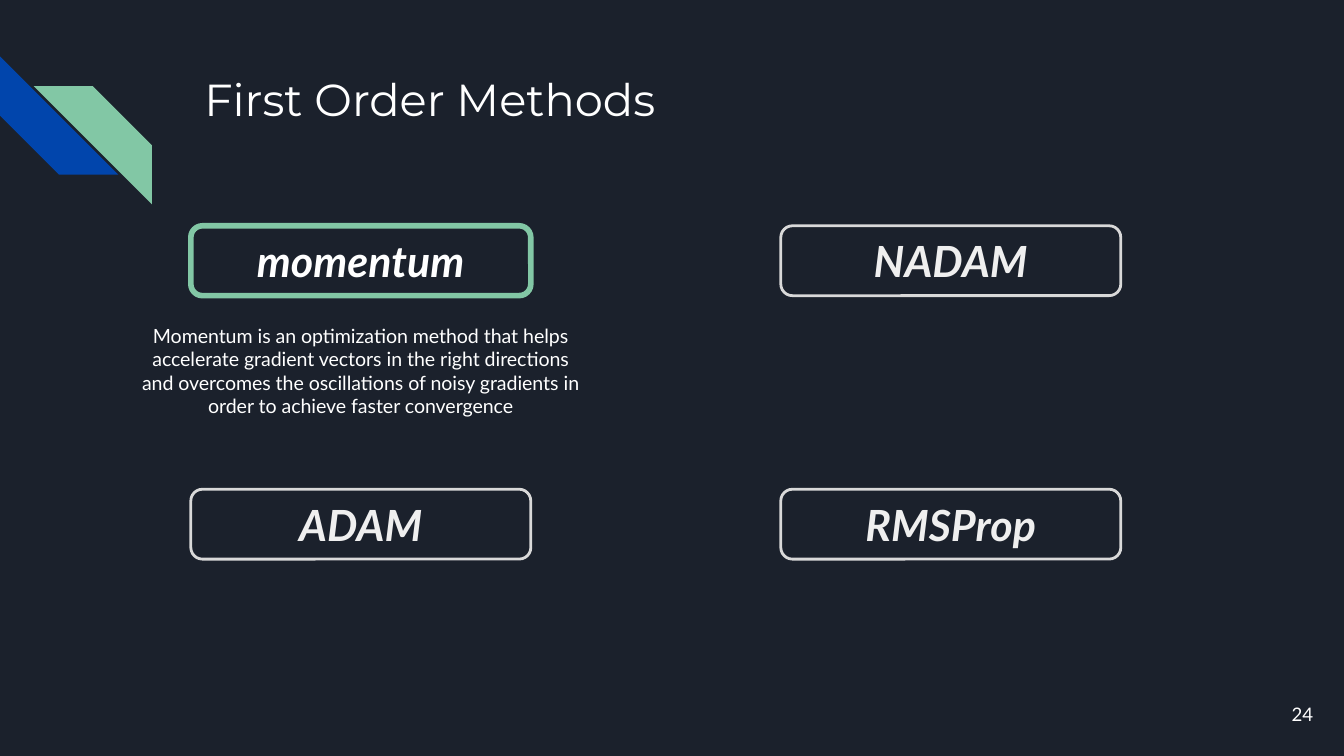
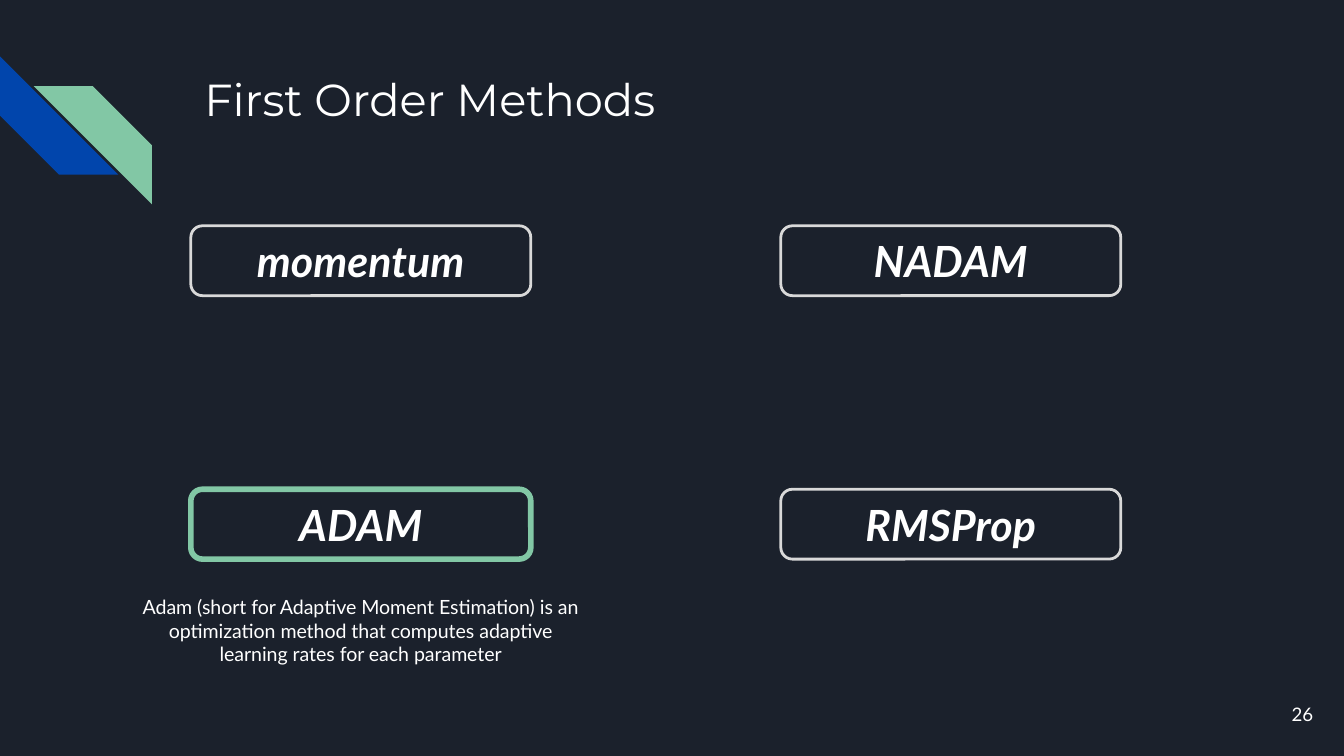
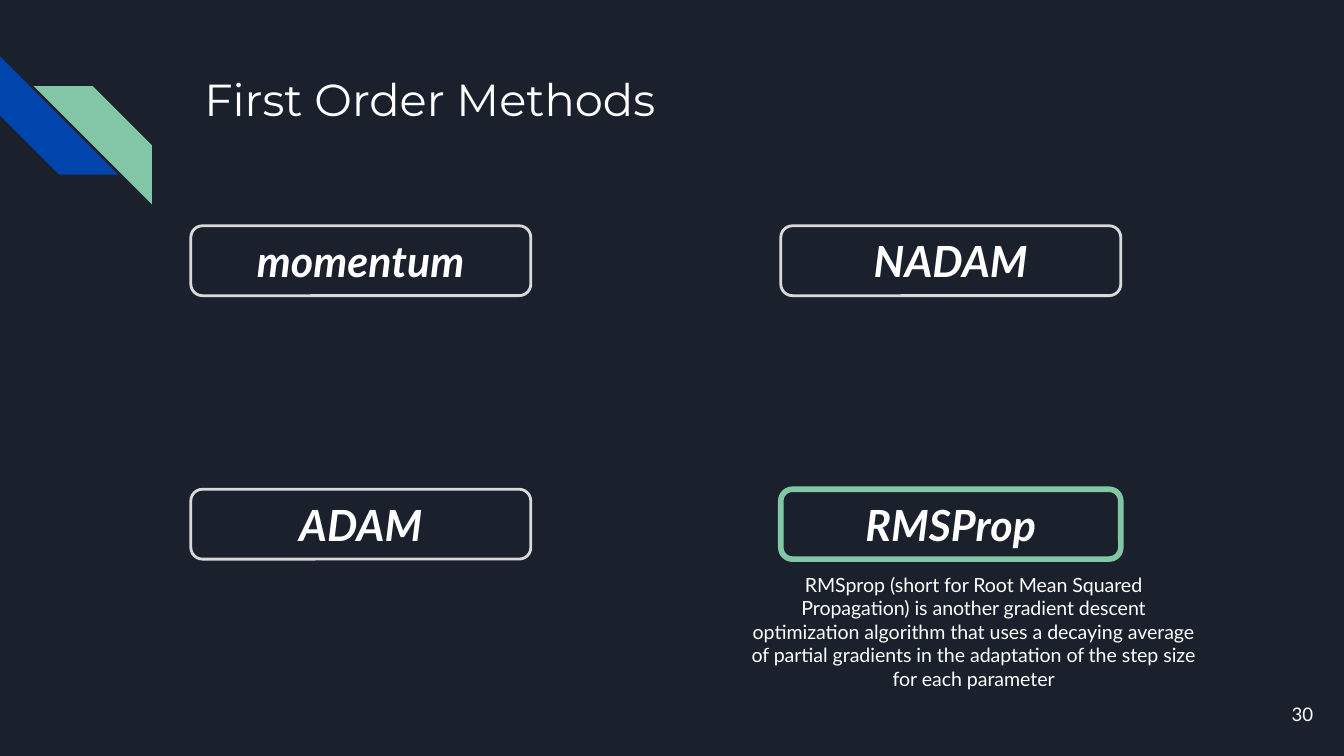
from dataclasses import dataclass

from pptx import Presentation
from pptx.dml.color import RGBColor
from pptx.enum.shapes import MSO_SHAPE
from pptx.enum.text import MSO_ANCHOR, MSO_AUTO_SIZE, PP_ALIGN
from pptx.util import Inches, Pt

LEFT, CENTER, RIGHT = PP_ALIGN.LEFT, PP_ALIGN.CENTER, PP_ALIGN.RIGHT
TOP, MIDDLE = MSO_ANCHOR.TOP, MSO_ANCHOR.MIDDLE
NO_FIT, GROW = MSO_AUTO_SIZE.NONE, MSO_AUTO_SIZE.SHAPE_TO_FIT_TEXT
ROUNDED, STRIPE = MSO_SHAPE.ROUNDED_RECTANGLE, MSO_SHAPE.DIAGONAL_STRIPE
TITLE_ONLY = 5


@dataclass(frozen=True)
class Theme:
    background: str = "1B212C"
    blue: str = "0145AC"
    green: str = "82C7A5"
    border: str = "D9D9D9"
    white: str = "FFFFFF"
    muted: str = "EFEFEF"
    heading_font: str = "Montserrat"
    body_font: str = "Lato"
    title_size: float = 24
    method_size: float = 23
    body_size: float = 10.5
    number_size: float = 10


THEME = Theme()

TITLE = "First Order Methods"
METHODS = [["momentum", "NADAM"], ["ADAM", "RMSProp"]]
SLIDES = [
    {
        "number": 24,
        "active": "momentum",
        "inactive_color": THEME.muted,
        "text": "Momentum is an optimization method that helps accelerate gradient "
                "vectors in the right directions and overcomes the oscillations of "
                "noisy gradients in order to achieve faster convergence",
        "text_at": (0.91, 2.31, 3.55, 0.91),
    },
    {
        "number": 26,
        "active": "ADAM",
        "inactive_color": THEME.white,
        "text": "Adam (short for Adaptive Moment Estimation) is an optimization "
                "method that computes adaptive learning rates for each parameter",
        "text_at": (0.91, 4.33, 3.55, 0.73),
    },
    {
        "number": 30,
        "active": "RMSProp",
        "inactive_color": THEME.white,
        "text": "RMSprop (short for Root Mean Squared Propagation) is another "
                "gradient descent optimization algorithm that uses a decaying average "
                "of partial gradients in the adaptation of the step size for each "
                "parameter",
        "text_at": (5.47, 4.16, 3.55, 1.09),
    },
]

SLIDE_W = Inches(10)
SLIDE_H = SLIDE_W * 9 // 16
TITLE_AT = (1.42, 0.43, 7.7, 1)
NUMBER_AT = (9.27, 5.1, 0.6, 0.43)
STRIPE_SIZE = 0.88
STRIPES = [(0, 0.42, 270, THEME.blue), (0.25, 0.64, 90, THEME.green)]
GRID_LEFT, GRID_TOP = 1.42, 1.68
COLUMN_STEP, ROW_STEP = 4.39, 1.96
METHOD_W, METHOD_H = 2.53, 0.52


def rgb(color):
    return RGBColor.from_string(color)


def inches(box):
    return [Inches(v) for v in box]


def write(sp, text, size, color=THEME.white, name=THEME.body_font, align=CENTER,
          anchor=TOP, fit=NO_FIT, **font_style):
    tf = sp.text_frame
    frame = {"word_wrap": True, "auto_size": fit, "vertical_anchor": anchor}
    frame.update({f"margin_{side}": Inches(0.1)
                  for side in ("left", "top", "right", "bottom")})
    for key, value in frame.items():
        setattr(tf, key, value)
    p = tf.paragraphs[0]
    p.alignment = align
    r = p.add_run()
    r.text = text
    for key, value in {"name": name, "size": Pt(size), **font_style}.items():
        setattr(r.font, key, value)
    r.font.color.rgb = rgb(color)


def add_stripes(slide):
    for left, top, rotation, color in STRIPES:
        sp = slide.shapes.add_shape(
            STRIPE, *inches((left, top, STRIPE_SIZE, STRIPE_SIZE)))
        sp.rotation = rotation
        sp.shadow.inherit = False
        sp.fill.solid()
        sp.fill.fore_color.rgb = rgb(color)
        sp.line.fill.background()


def add_title(slide):
    sp = slide.shapes.title
    sp.left, sp.top, sp.width, sp.height = inches(TITLE_AT)
    write(sp, TITLE, THEME.title_size, name=THEME.heading_font, align=LEFT)


def add_text(slide, box, text, size, **style):
    write(slide.shapes.add_textbox(*inches(box)), text, size, **style)


def add_method(slide, row, column, method, active, inactive_color):
    box = (GRID_LEFT + column * COLUMN_STEP, GRID_TOP + row * ROW_STEP,
           METHOD_W, METHOD_H)
    sp = slide.shapes.add_shape(ROUNDED, *inches(box))
    sp.shadow.inherit = False
    sp.fill.background()
    sp.line.color.rgb = rgb(THEME.green if active else THEME.border)
    sp.line.width = Pt(3 if active else 1.5)
    write(sp, method, THEME.method_size, THEME.white if active else inactive_color,
          anchor=MIDDLE, bold=True, italic=True)


def build_slide(prs, content):
    slide = prs.slides.add_slide(prs.slide_layouts[TITLE_ONLY])
    add_stripes(slide)
    add_title(slide)
    add_text(slide, NUMBER_AT, str(content["number"]), THEME.number_size,
             align=RIGHT, anchor=MIDDLE)
    for row, methods in enumerate(METHODS):
        for column, method in enumerate(methods):
            add_method(slide, row, column, method, method == content["active"],
                       content["inactive_color"])
    add_text(slide, content["text_at"], content["text"], THEME.body_size, fit=GROW)


def main():
    prs = Presentation()
    prs.slide_width, prs.slide_height = SLIDE_W, SLIDE_H
    fill = prs.slide_master.background.fill
    fill.solid()
    fill.fore_color.rgb = rgb(THEME.background)
    for content in SLIDES:
        build_slide(prs, content)
    prs.save("out.pptx")


if __name__ == "__main__":
    main()
